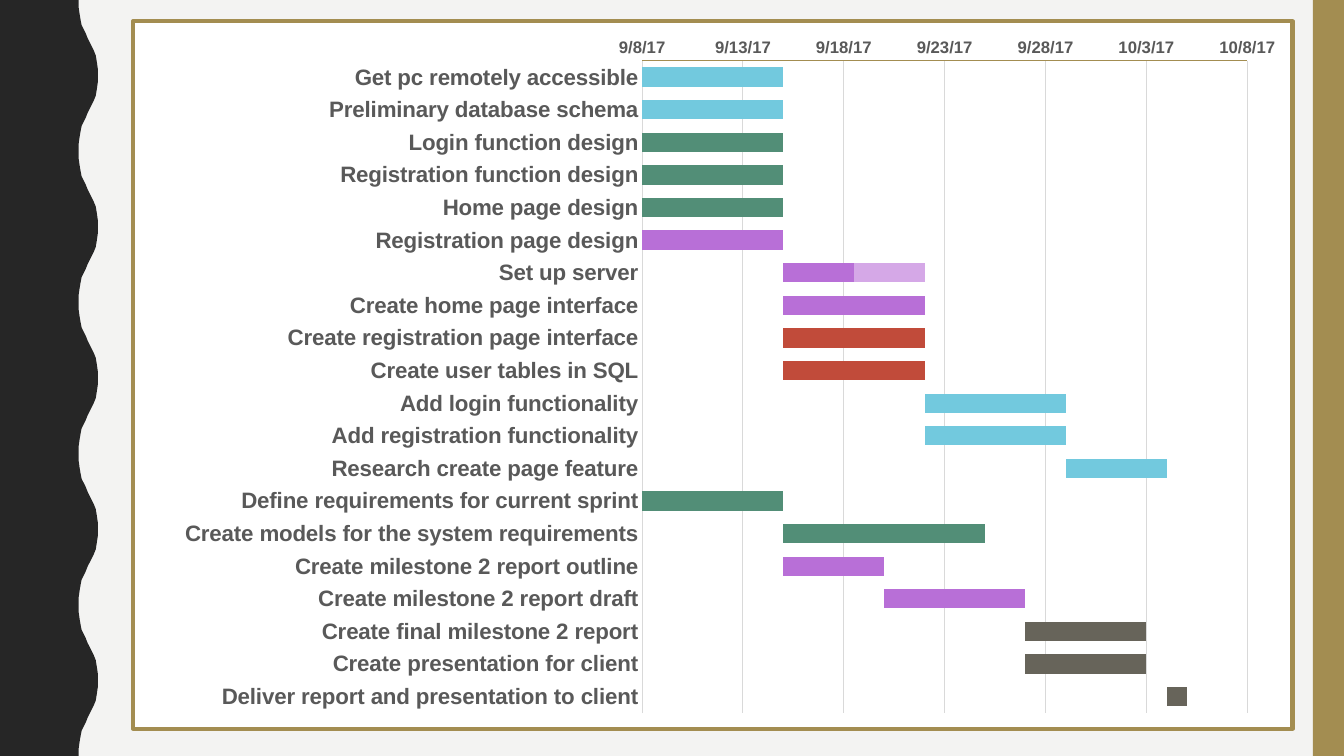
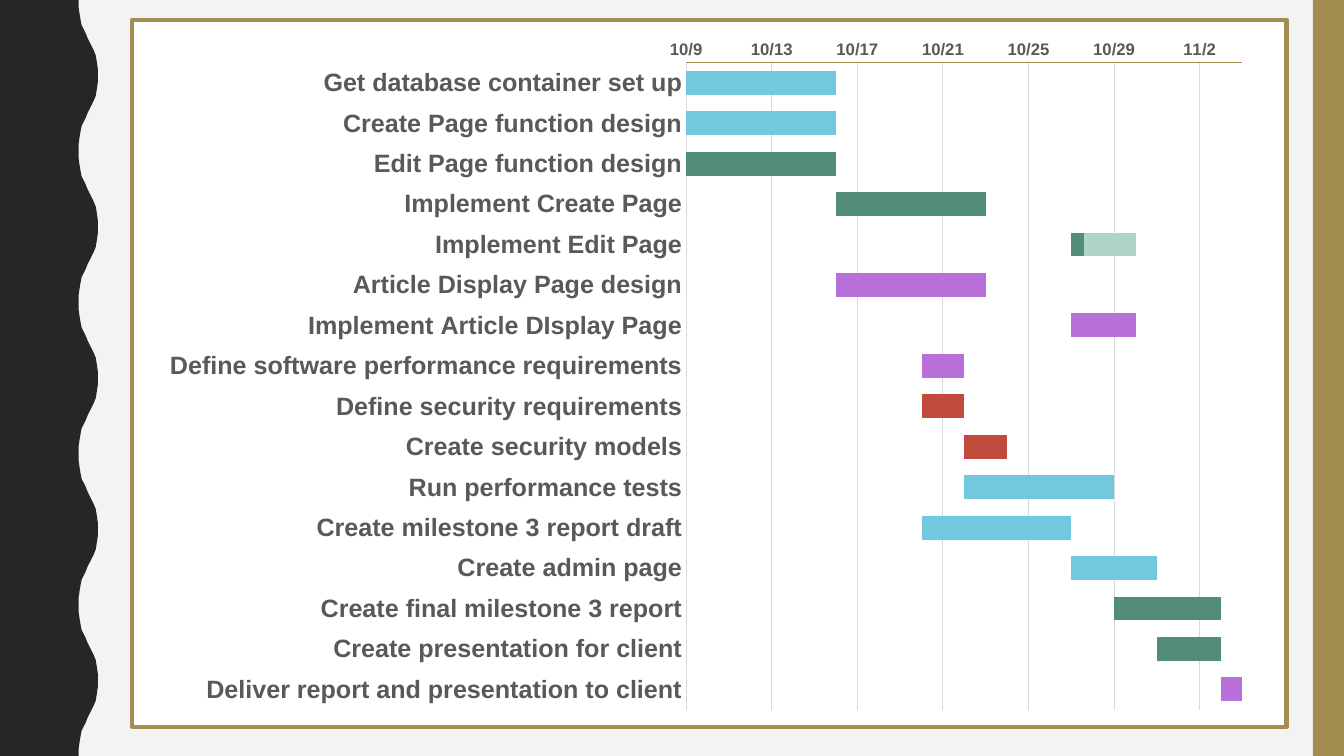
from dataclasses import dataclass
from typing import Any, NamedTuple

from lxml.etree import fromstring
from pptx import Presentation
from pptx.chart.chart import Chart
from pptx.chart.data import CategoryChartData
from pptx.dml.color import RGBColor
from pptx.enum.chart import XL_CHART_TYPE, XL_TICK_MARK
from pptx.enum.shapes import MSO_SHAPE
from pptx.oxml.ns import nsdecls, qn
from pptx.util import Inches, Pt

WIDTH, HEIGHT = 13.33, 7.5

PAPER = RGBColor(0xF3, 0xF3, 0xF2)
INK = RGBColor(0x26, 0x26, 0x26)
GOLD = RGBColor(0xA3, 0x8D, 0x51)
GRID = RGBColor(0xD9, 0xD9, 0xD9)
LABEL = RGBColor(0x59, 0x59, 0x59)
BLACK = RGBColor(0, 0, 0)


class Hue(NamedTuple):
    """Bar colour for finished work and its tint for remaining work."""
    done: RGBColor
    left: RGBColor


BLUE = Hue(RGBColor(0x72, 0xC9, 0xDE), RGBColor(0xBB, 0xE6, 0xEF))
GREEN = Hue(RGBColor(0x52, 0x8E, 0x77), RGBColor(0xAF, 0xD3, 0xC5))
PURPLE = Hue(RGBColor(0xB8, 0x6F, 0xD7), RGBColor(0xD5, 0xA8, 0xE7))
RED = Hue(RGBColor(0xC1, 0x4B, 0x3A), RGBColor(0xE3, 0xB3, 0xAA))
GREY = Hue(RGBColor(0x67, 0x64, 0x5A), RGBColor(0xC0, 0x00, 0x00))


class Task(NamedTuple):
    """A bar; start counts days from the first day of its chart."""
    name: str
    hue: Hue
    start: int
    done: float
    left: float = 0


@dataclass(frozen=True)
class Gantt:
    box: tuple[float, float, float, float]   # inches
    plot: tuple[float, float, float, float]  # shares of the chart
    first_day: int                           # spreadsheet date serial
    days: int
    step: int
    date_format: str
    task_size: int
    tasks: list[Task]


SPRINTS = [
    Gantt((1.3, 0.19, 11.54, 7.06), (0.439, 0.056, 0.522, 0.922),
          42986, 30, 5, "m/d/yy", 16, [
        Task("Get pc remotely accessible", BLUE, 0, 7),
        Task("Preliminary database schema", BLUE, 0, 7),
        Task("Login function design", GREEN, 0, 7),
        Task("Registration function design", GREEN, 0, 7),
        Task("Home page design", GREEN, 0, 7),
        Task("Registration page design", PURPLE, 0, 7),
        Task("Set up server", PURPLE, 7, 3.5, 3.5),
        Task("Create home page interface", PURPLE, 7, 7),
        Task("Create registration page interface", RED, 7, 7),
        Task("Create user tables in SQL", RED, 7, 7),
        Task("Add login functionality", BLUE, 14, 7),
        Task("Add registration functionality", BLUE, 14, 7),
        Task("Research create page feature", BLUE, 21, 5),
        Task("Define requirements for current sprint", GREEN, 0, 7),
        Task("Create models for the system requirements", GREEN, 7, 10),
        Task("Create milestone 2 report outline", PURPLE, 7, 5),
        Task("Create milestone 2 report draft", PURPLE, 12, 7),
        Task("Create final milestone 2 report", GREY, 19, 6),
        Task("Create presentation for client", GREY, 19, 6),
        Task("Deliver report and presentation to client", GREY, 26, 1),
    ]),
    Gantt((1.29, 0.18, 11.49, 7.05), (0.48, 0.06, 0.482, 0.916),
          43017, 26, 4, "m/d", 18, [
        Task("Get database container set up", BLUE, 0, 7),
        Task("Create Page function design", BLUE, 0, 7),
        Task("Edit Page function design", GREEN, 0, 7),
        Task("Implement Create Page", GREEN, 7, 7),
        Task("Implement Edit Page", GREEN, 18, 0.6, 2.4),
        Task("Article Display Page design", PURPLE, 7, 7),
        Task("Implement Article DIsplay Page", PURPLE, 18, 3),
        Task("Define software performance requirements", PURPLE, 11, 2),
        Task("Define security requirements", RED, 11, 2),
        Task("Create security models", RED, 13, 2),
        Task("Run performance tests", BLUE, 13, 7),
        Task("Create milestone 3 report draft", BLUE, 11, 7),
        Task("Create admin page", BLUE, 18, 4),
        Task("Create final milestone 3 report", GREEN, 20, 5),
        Task("Create presentation for client", GREEN, 22, 3),
        Task("Deliver report and presentation to client", PURPLE, 25, 1),
    ]),
]

# Wavy edge in hundredths of an inch: half a wave, mirrored and repeated
UNITS = 100
WAVES = 5
WAVE_HEIGHT = HEIGHT * UNITS / WAVES
HALF_WAVE = [(78, 0), (78, 7), (79, 14), (80, 20), (81, 25), (83, 29),
             (85, 33), (87, 38), (89, 42), (91, 46), (93, 50), (95, 55),
             (96, 61), (97, 68), (97, 75)]


def set_format(target: Any, values: dict[str, Any]) -> None:
    for name, value in values.items():
        setattr(target, name, value)


def set_font(font: Any, size: int, color: RGBColor, **values: Any) -> None:
    set_format(font, {"size": Pt(size), **values})
    font.color.rgb = color


def set_line(line: Any, color: RGBColor) -> None:
    line.width = Pt(0.75)
    line.color.rgb = color


def paint(sp: Any, color: RGBColor) -> None:
    sp.shadow.inherit = False
    sp.fill.solid()
    sp.fill.fore_color.rgb = color
    sp.line.fill.background()


def decorate(layout: Any, s: Any) -> None:
    """Draw the shared side bands and move them from s to its layout."""
    layout.background.fill.solid()
    layout.background.fill.fore_color.rgb = PAPER

    wave = HALF_WAVE + [(x, WAVE_HEIGHT - y) for x, y in HALF_WAVE[-2::-1]]
    edge = [(x, y + n * WAVE_HEIGHT) for n in range(WAVES) for x, y in wave]
    builder = s.shapes.build_freeform(0, 0, scale=Inches(1) / UNITS)
    builder.add_line_segments(edge + [(0, HEIGHT * UNITS)], close=True)
    band = builder.convert_to_shape()
    bar = s.shapes.add_shape(MSO_SHAPE.RECTANGLE, Inches(13.02), 0,
                             Inches(WIDTH - 13.02), Inches(HEIGHT))
    for sp, color in ((band, INK), (bar, GOLD)):
        paint(sp, color)
        layout.shapes.element.append(sp.element)


def frame_chart(chart: Chart, plot: tuple[float, float, float, float]) -> None:
    """Fill and border the chart, and fix its inner plot area."""
    chart.element.find(qn("c:chart")).addnext(fromstring(
        f'<c:spPr {nsdecls("c", "a")}>'
        '<a:solidFill><a:srgbClr val="FFFFFF"/></a:solidFill>'
        f'<a:ln w="{Pt(3)}"><a:solidFill><a:srgbClr val="{GOLD}"/></a:solidFill>'
        '<a:round/></a:ln></c:spPr>'))
    area = chart.element.find(".//" + qn("c:plotArea"))
    for old in area.findall(qn("c:layout")):
        area.remove(old)
    modes = "".join(f'<c:{k}Mode val="edge"/>' for k in "xy")
    sizes = "".join(f'<c:{k} val="{v}"/>' for k, v in zip("xywh", plot))
    area.insert(0, fromstring(
        f'<c:layout {nsdecls("c")}><c:manualLayout>'
        f'<c:layoutTarget val="inner"/>{modes}{sizes}'
        '</c:manualLayout></c:layout>'))


def add_gantt(s: Any, gantt: Gantt) -> None:
    tasks = gantt.tasks
    data = CategoryChartData()
    data.categories = [t.name for t in tasks]
    data.add_series("Series 1", [gantt.first_day + t.start for t in tasks])
    data.add_series("Series 2", [t.done for t in tasks])
    data.add_series("Series 3", [t.left for t in tasks])
    chart = s.shapes.add_chart(XL_CHART_TYPE.BAR_STACKED,
                               *map(Inches, gantt.box), data).chart
    set_format(chart, {"has_legend": False, "has_title": False})
    set_font(chart.font, 10, BLACK, name="Cabin")
    frame_chart(chart, gantt.plot)

    # Bars: an unseen offset, then done and remaining days
    plot = chart.plots[0]
    set_format(plot, {"gap_width": 69, "overlap": 100,
                      "vary_by_categories": False})
    offset, *parts = plot.series
    offset.format.fill.background()
    for part, field in zip(parts, Hue._fields):
        part.invert_if_negative = False
        for i, task in enumerate(tasks):
            fill = part.points[i].format.fill
            fill.solid()
            fill.fore_color.rgb = getattr(task.hue, field)

    # Axes: tasks from the top down, dates above
    names, dates = chart.category_axis, chart.value_axis
    names.reverse_order = True
    set_format(dates, {"minimum_scale": gantt.first_day,
                       "maximum_scale": gantt.first_day + gantt.days,
                       "major_unit": gantt.step,
                       "has_major_gridlines": True})
    set_line(dates.major_gridlines.format.line, GRID)
    set_format(dates.tick_labels, {"number_format": gantt.date_format,
                                   "number_format_is_linked": False})
    for axis, size, color in ((names, gantt.task_size, GRID),
                              (dates, 12, GOLD)):
        set_format(axis, {"major_tick_mark": XL_TICK_MARK.NONE,
                          "minor_tick_mark": XL_TICK_MARK.NONE})
        set_line(axis.format.line, color)
        set_font(axis.tick_labels.font, size, LABEL, name="Arial", bold=True)


def main() -> None:
    prs = Presentation()
    set_format(prs, {"slide_width": Inches(WIDTH),
                     "slide_height": Inches(HEIGHT)})
    blank = prs.slide_layouts[6]
    slides = [prs.slides.add_slide(blank) for _ in SPRINTS]
    decorate(blank, slides[0])
    for s, gantt in zip(slides, SPRINTS):
        add_gantt(s, gantt)
    prs.save("out.pptx")


if __name__ == "__main__":
    main()
